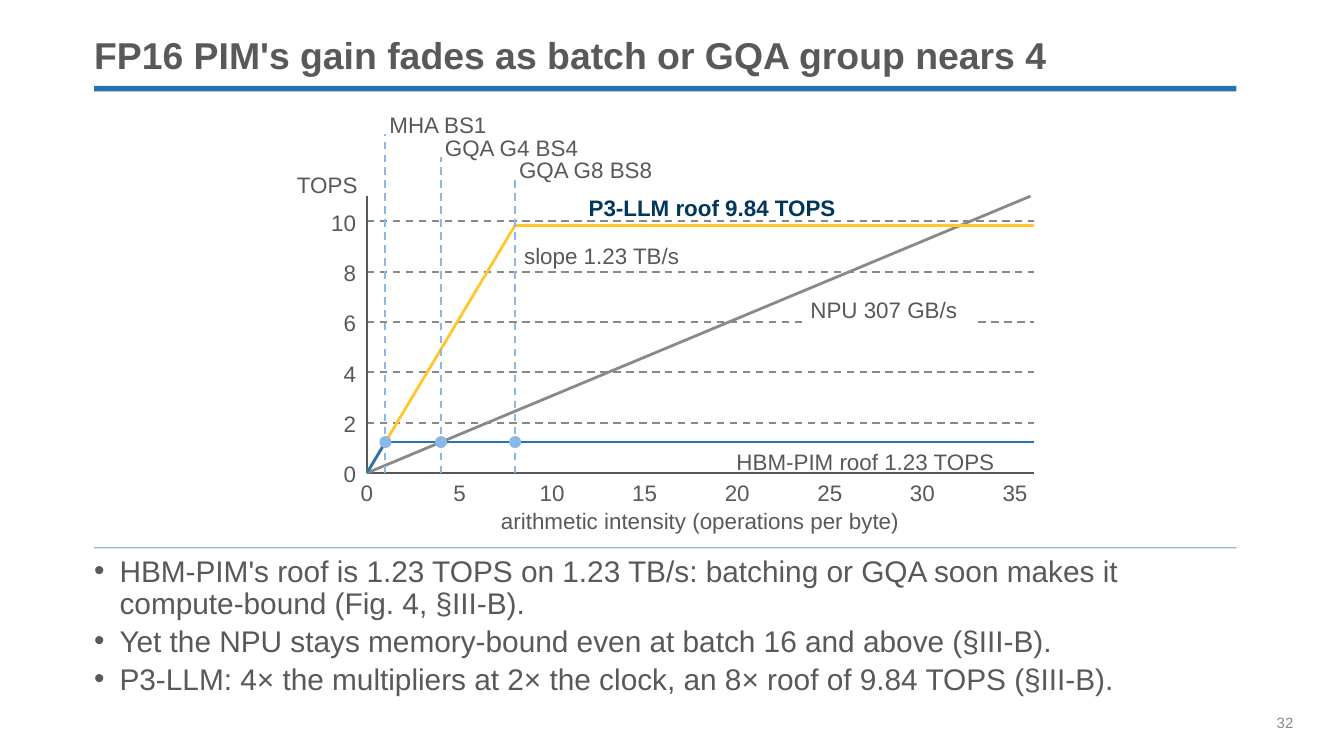
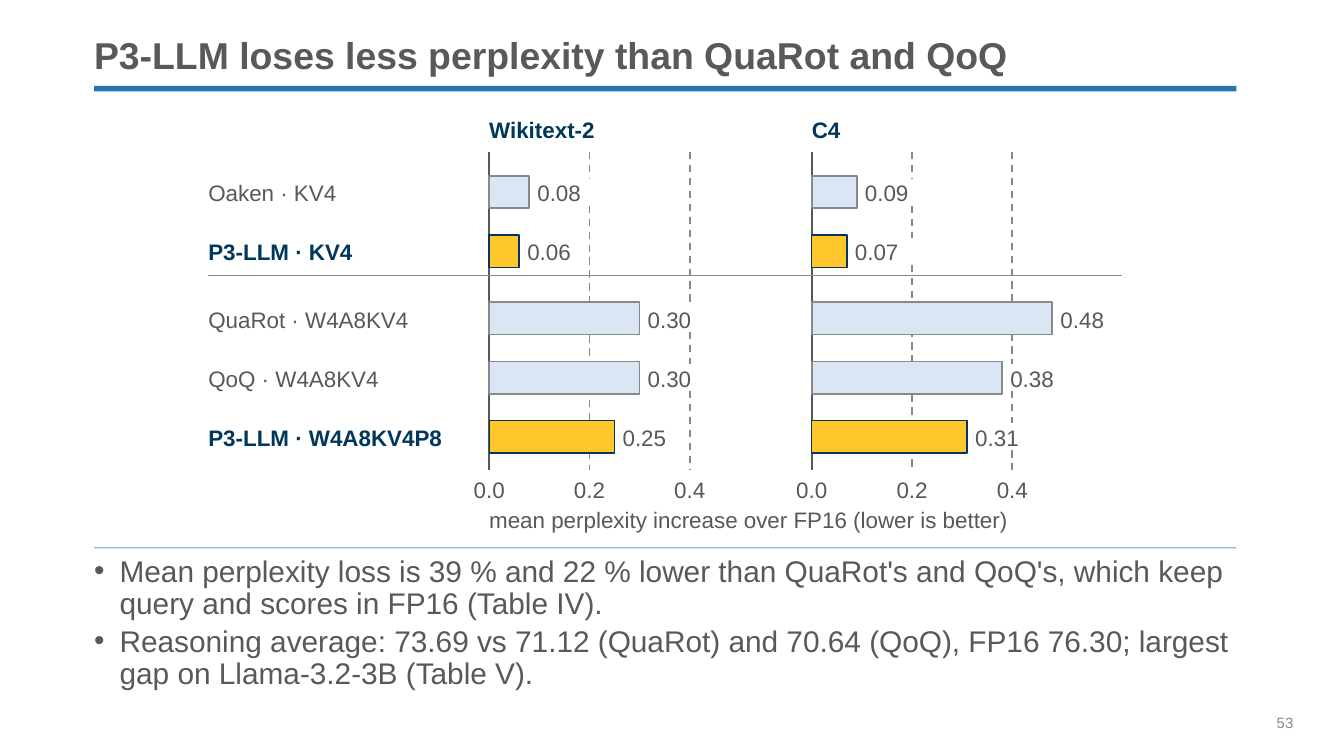
from lxml.etree import SubElement as Sub
from pptx import Presentation
from pptx.dml.color import RGBColor as RGB
from pptx.enum.dml import MSO_LINE
from pptx.enum.shapes import MSO_CONNECTOR as Conn, MSO_SHAPE as Form
from pptx.enum.text import MSO_ANCHOR as Anchor, PP_ALIGN as Align
from pptx.oxml.ns import qn
from pptx.util import Inches, Pt

HUES = {
    "text": "58595B",
    "ink": "57585B",
    "grey": "898989",
    "blue": "2774AE",
    "sky": "8AB8E8",
    "pale": "DAE6F4",
    "navy": "00375B",
    "gold": "FFC72B",
}
FACE = "Arial"
LEFT, WIDE = 0.7, 8.5
TALL = 0.25


def hue(name):
    return RGB.from_string(HUES[name])


class Deck:
    def __init__(self):
        self.prs = Presentation()
        self.prs.slide_width = Inches(10)
        self.prs.slide_height = Inches(10 * 9 / 16)
        self.slide = None

    def page(self, title, points, num):
        self.slide = self.prs.slides.add_slide(self.prs.slide_layouts[6])
        self.shape(LEFT, 0.64, WIDE, 0.04, "blue")
        self.shape(LEFT, 4.07, WIDE, 0.01, "sky")
        head = self.text(title, LEFT, 0.22, WIDE, 0.36, size=20, color="text",
                         bold=True, anchor=Anchor.BOTTOM, wrap=True)
        head.paragraphs[0].line_spacing = 0.9
        self.points(points)
        self.text(num, 9.5, 5.31, 0.5, 0.14, size=8, color="grey",
                  anchor=Anchor.TOP, wrap=True)

    def frame(self, x, y, w, h, anchor, wrap):
        box = self.slide.shapes.add_textbox(Inches(x), Inches(y), Inches(w), Inches(h))
        frame = box.text_frame
        frame.margin_left = frame.margin_right = 0
        frame.margin_top = frame.margin_bottom = 0
        frame.vertical_anchor = anchor
        frame.word_wrap = wrap
        return frame

    def style(self, para, size, color, bold=False):
        font = para.font
        font.name, font.size, font.bold = FACE, Pt(size), bold
        font.color.rgb = hue(color)

    def text(self, words, x, y, w, h=TALL, size=12, color="ink", bold=False,
             align=Align.LEFT, anchor=Anchor.MIDDLE, wrap=False):
        frame = self.frame(x, y, w, h, anchor, wrap)
        para = frame.paragraphs[0]
        para.text = words
        para.alignment = align
        self.style(para, size, color, bold)
        return frame

    def label(self, words, x, y, align=Align.LEFT, strong=False):
        w = 0.1 + 0.97 * len(words) / 10
        shift = {Align.LEFT: 0, Align.CENTER: w / 2, Align.RIGHT: w}[align]
        self.text(words, x - shift, y, w, color="navy" if strong else "ink",
                  bold=strong, align=align)

    def points(self, items):
        frame = self.frame(LEFT, 4.14, WIDE, 1.06, Anchor.TOP, True)
        for i, item in enumerate(items):
            para = frame.add_paragraph() if i else frame.paragraphs[0]
            para.text = item
            para.line_spacing = 0.9
            if i:
                para.space_before = Pt(3)
            props = para._p.get_or_add_pPr()
            props.set("marL", str(Inches(0.19)))
            props.set("indent", str(-Inches(0.19)))
            Sub(props, qn("a:buFont")).set("typeface", FACE)
            Sub(props, qn("a:buChar")).set("char", "•")
            self.style(para, 16, "text")

    def shape(self, x, y, w, h, fill, line=None, width=1, form=Form.RECTANGLE):
        item = self.slide.shapes.add_shape(
            form, Inches(x), Inches(y), Inches(w), Inches(h))
        item.shadow.inherit = False
        item.fill.solid()
        item.fill.fore_color.rgb = hue(fill)
        if line:
            item.line.color.rgb = hue(line)
            item.line.width = Pt(width)
        else:
            item.line.fill.background()

    def line(self, start, end, color, width=1, dash=False):
        item = self.slide.shapes.add_connector(
            Conn.STRAIGHT, *[Inches(v) for v in (*start, *end)])
        item.line.color.rgb = hue(color)
        item.line.width = Pt(width)
        if dash:
            item.line.dash_style = MSO_LINE.DASH
        Sub(item._element.spPr, qn("a:effectLst"))

    def trace(self, spots, color):
        for start, end in zip(spots, spots[1:]):
            self.line(start, end, color, 1.5)


def roofs(deck):
    deck.page("FP16 PIM's gain fades as batch or GQA group nears 4", [
        "HBM-PIM's roof is 1.23 TOPS on 1.23 TB/s: batching or GQA soon makes it "
        "compute-bound (Fig. 4, §III‑B).",
        "Yet the NPU stays memory-bound even at batch 16 and above (§III‑B).",
        "P3-LLM: 4× the multipliers at 2× the clock, an 8× roof of 9.84 TOPS (§III‑B).",
    ], "32")
    left, right, base, top = 2.73, 7.69, 3.52, 1.46
    xmax, ymax = 36, 11
    slope, npu = 1.23, 0.307

    def spot(x, y):
        return (left + x * (right - left) / xmax, base - y * (base - top) / ymax)

    for tick in range(0, 11, 2):
        y = spot(0, tick)[1]
        spans = [(left, 5.98), (7.28, right)] if tick == 6 else [(left, right)]
        for x1, x2 in spans:
            deck.line((x1, y), (x2, y), "grey" if tick else "ink", dash=tick > 0)
        deck.label(str(tick), 2.65, y - 0.12, Align.RIGHT)
    for tick in range(0, 36, 5):
        deck.label(str(tick), spot(tick, 0)[0], 3.54, Align.CENTER)
    deck.line((left, base), (left, top), "ink")
    deck.label("arithmetic intensity (operations per byte)",
               (left + right) / 2, 3.75, Align.CENTER)
    deck.label("TOPS", 2.21, 1.25)

    deck.trace([spot(0, 0), spot(ymax / npu, ymax)], "grey")
    deck.label("NPU 307 GB/s", 6.03, 2.18)
    for roof, color in ((9.84, "gold"), (1.23, "blue")):
        deck.trace([spot(0, 0), spot(roof / slope, roof), spot(xmax, roof)], color)
    deck.label("P3-LLM roof 9.84 TOPS", 4.38, 1.42, strong=True)
    deck.label("HBM-PIM roof 1.23 TOPS", 5.48, 3.31)
    deck.label("slope 1.23 TB/s", 3.9, 1.78)

    dot = 0.09
    loads = [(1, "MHA BS1"), (4, "GQA G4 BS4"), (8, "GQA G8 BS8")]
    for i, (load, name) in enumerate(loads):
        x, y = spot(load, 1.23)
        high = 1 + 0.17 * i
        deck.line((x, base), (x, high), "sky", dash=True)
        deck.shape(x - dot / 2, y - dot / 2, dot, dot, "sky", form=Form.OVAL)
        deck.label(name, x + 0.03, high - 0.2)


def losses(deck):
    deck.page("P3-LLM loses less perplexity than QuaRot and QoQ", [
        "Mean perplexity loss is 39 % and 22 % lower than QuaRot's and QoQ's, "
        "which keep query and scores in FP16 (Table IV).",
        "Reasoning average: 73.69 vs 71.12 (QuaRot) and 70.64 (QoQ), FP16 76.30; "
        "largest gap on Llama-3.2-3B (Table V).",
    ], "53")
    scale, pitch, pad = 3.73, 0.44, 0.06
    top, base, edge = 1.13, 3.5, 1.55
    sets = [("Wikitext-2", 3.64), ("C4", 6.04)]
    groups = [
        (1.31, [("Oaken · KV4", 0.08, 0.09), ("P3-LLM · KV4", 0.06, 0.07)]),
        (2.25, [("QuaRot · W4A8KV4", 0.30, 0.48), ("QoQ · W4A8KV4", 0.30, 0.38),
                ("P3-LLM · W4A8KV4P8", 0.25, 0.31)]),
    ]
    rows = [(start + i * pitch, name, vals)
            for start, group in groups
            for i, (name, *vals) in enumerate(group)]

    for k, (title, left) in enumerate(sets):
        deck.label(title, left, 0.84, strong=True)
        deck.line((left, top), (left, base), "ink")
        for tick in (0, 0.2, 0.4):
            x = left + tick * scale
            deck.label(f"{tick:.1f}", x, 3.52, Align.CENTER)
            if not tick:
                continue
            y = top
            for row, _, vals in rows:
                if 0 < x - (left + vals[k] * scale + pad) < 0.44:
                    deck.line((x, y), (x, row + 0.02), "grey", dash=True)
                    y = row + 0.22
            deck.line((x, y), (x, base), "grey", dash=True)

    deck.line((edge, 2.05), (8.35, 2.05), "grey")
    for y, name, vals in rows:
        ours = name.startswith("P3-LLM")
        look = ("gold", "navy", 0.75) if ours else ("pale", "grey", 1)
        deck.label(name, edge, y, strong=ours)
        for (_, left), val in zip(sets, vals):
            deck.shape(left, y, val * scale, 0.24, *look)
            deck.label(f"{val:.2f}", left + val * scale + pad, y)
    deck.label("mean perplexity increase over FP16 (lower is better)", 3.64, 3.74)


def main():
    deck = Deck()
    roofs(deck)
    losses(deck)
    deck.prs.save("out.pptx")


if __name__ == "__main__":
    main()
